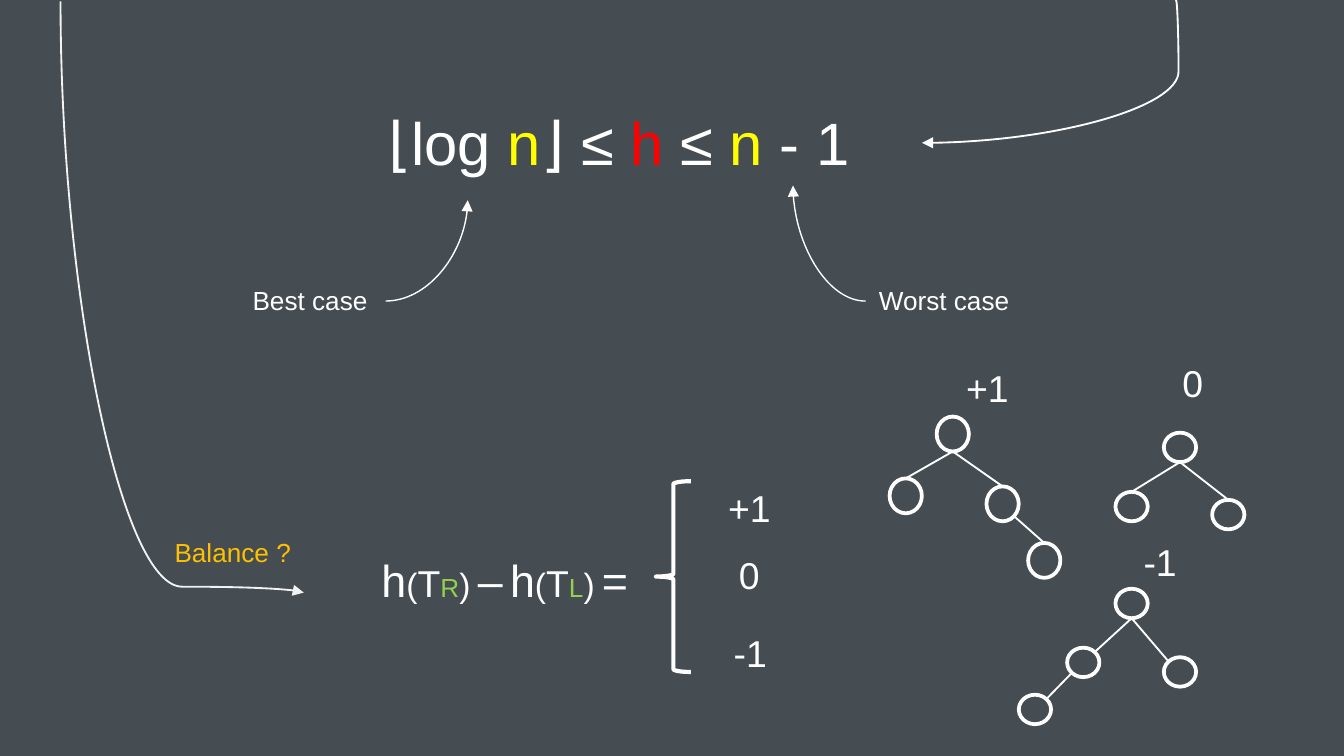
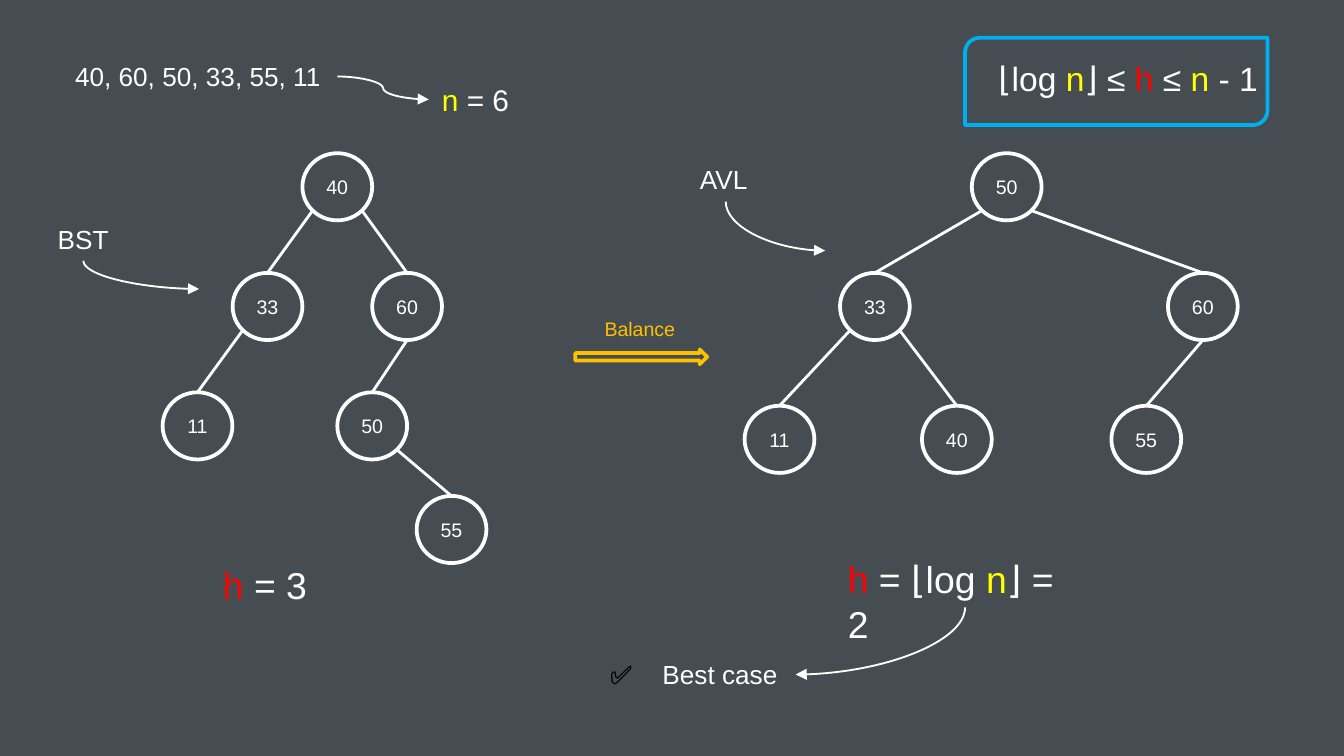
from lxml import etree
from pptx import Presentation
from pptx.dml.color import RGBColor
from pptx.enum.shapes import MSO_CONNECTOR as CONN, MSO_SHAPE as SHAPE
from pptx.enum.text import MSO_ANCHOR as ANCHOR, MSO_AUTO_SIZE as AUTO, PP_ALIGN as ALIGN
from pptx.oxml.ns import qn
from pptx.util import Pt

COLOURS = {
    "back": "454D52", "white": "FFFFFF", "pale": "F2F2F2", "red": "FF0000",
    "yellow": "FFFF00", "green": "92D050", "amber": "FFC000",
    "blue": "00B0F0", "black": "000000",
}
FONT = "Arial"

# Formula runs: (text, colour, size); colour and size may be left out
N, H = ("n", "yellow"), ("h", "red")
BOUNDS = ["⌊log ", N, "⌋ ≤ ", H, " ≤ ", N, " - 1"]


def height_of(side):
    return [("h", "white", 24), ("(", "white", 18), ("T", "white", 20),
            (side, "green", 14), (")", "white", 18)]


BALANCE = [*height_of("R"), " ", ("–", "white", 24), " ",
           *height_of("L"), " ", ("=", "white", 24)]

# Where an edge meets a node, as a fraction of its radii from the centre
DIAG = 0.707
SITES = {"t": (0, -1), "b": (0, 1), "tl": (-DIAG, -DIAG), "tr": (DIAG, -DIAG),
         "bl": (-DIAG, DIAG), "br": (DIAG, DIAG)}


def rgb(name):
    return RGBColor.from_string(COLOURS[name])


def new_slide(prs):
    s = prs.slides.add_slide(prs.slide_layouts[6])
    s.background.fill.solid()
    s.background.fill.fore_color.rgb = rgb("back")
    return s


def add_runs(p, runs, size, colour):
    for run in [runs] if isinstance(runs, str) else runs:
        parts = (run,) if isinstance(run, str) else run
        text, run_colour, run_size = (*parts, colour, size)[:3] if len(parts) != 2 else (*parts, size)
        r = p.add_run()
        r.text = text
        r.font.name = FONT
        r.font.size = Pt(run_size)
        r.font.color.rgb = rgb(run_colour)


def add_text(s, x, y, w, h, runs, size=14, colour="white", wrap=True, anchor=ANCHOR.TOP):
    tf = s.shapes.add_textbox(Pt(x), Pt(y), Pt(w), Pt(h)).text_frame
    tf.word_wrap = wrap
    tf.auto_size = AUTO.SHAPE_TO_FIT_TEXT
    tf.vertical_anchor = anchor
    add_runs(tf.paragraphs[0], runs, size, colour)


def add_outline(s, kind, x, y, w, h, colour="white", width=2):
    sp = s.shapes.add_shape(kind, Pt(x), Pt(y), Pt(w), Pt(h))
    sp.shadow.inherit = False
    sp.fill.background()
    sp.line.color.rgb = rgb(colour)
    sp.line.width = Pt(width)
    return sp


def add_line(s, x1, y1, x2, y2, width=1, colour="white", kind=CONN.STRAIGHT):
    line = s.shapes.add_connector(kind, Pt(x1), Pt(y1), Pt(x2), Pt(y2))
    line.line.color.rgb = rgb(colour)
    line.line.width = Pt(width)
    etree.SubElement(line._element.spPr, qn("a:effectLst"))
    return line


def add_curve(s, x1, y1, x2, y2, rot=0, flip=None, bend=None, width=1, colour="white"):
    """Curved arrow; with a bend it is an S curve, otherwise a single arc."""
    w, h = abs(x2 - x1), abs(y2 - y1)
    if rot in (90, 270):
        w, h = h, w
    left, top = (x1 + x2 - w) / 2, (y1 + y2 - h) / 2
    line = add_line(s, left, top, left + w, top + h, width, colour, CONN.CURVE)
    sp_pr = line._element.spPr
    xfrm = sp_pr.find(qn("a:xfrm"))
    xfrm.set("rot", str(rot * 60000))
    if flip:
        xfrm.set("flip" + flip, "1")
    geom = sp_pr.find(qn("a:prstGeom"))
    if bend is None:
        geom.set("prst", "curvedConnector2")
    else:
        guides = geom.find(qn("a:avLst"))
        if guides is None:
            guides = etree.SubElement(geom, qn("a:avLst"))
        etree.SubElement(guides, qn("a:gd"), name="adj1", fmla=f"val {round(bend * 100000)}")
    etree.SubElement(sp_pr.find(qn("a:ln")), qn("a:tailEnd"), type="triangle")


def add_tree(s, nodes, edges, w, h, width=1, labels=False):
    """nodes: key -> (left, top); edges: (parent, site, child, site)."""
    for key, (x, y) in nodes.items():
        sp = add_outline(s, SHAPE.OVAL, x, y, w, h)
        if labels:
            tf = sp.text_frame
            tf.margin_left = tf.margin_right = tf.margin_top = tf.margin_bottom = 0
            tf.vertical_anchor = ANCHOR.MIDDLE
            tf.paragraphs[0].alignment = ALIGN.CENTER
            add_runs(tf.paragraphs[0], key, 10.5, "white")

    def point(key, site):
        (x, y), (dx, dy) = nodes[key], SITES[site]
        return x + w / 2 * (1 + dx), y + h / 2 * (1 + dy)

    for parent, start, child, end in edges:
        add_line(s, *point(parent, start), *point(child, end), width)


def balance_slide(prs):
    s = new_slide(prs)

    # Height bounds with their two cases
    add_curve(s, 630, 0, 493.9, 76.5, rot=180, flip="V", bend=-0.01)
    add_text(s, 200.9, 53.3, 293, 46, BOUNDS, size=32)
    add_curve(s, 463.7, 161.3, 424.8, 99.4, rot=180, width=0.75)
    add_text(s, 463.7, 149, 90, 24.5, "Worst case")
    add_curve(s, 206.6, 161.3, 250.6, 107.3, flip="V", width=0.75)
    add_text(s, 128.2, 149, 78.5, 24.5, "Best case")

    # Balance factor
    add_curve(s, 32.4, 0.7, 162.7, 317.5, rot=270, flip="H", bend=0.99, colour="pale")
    add_text(s, 86.4, 283.7, 78.5, 24.5, "Balance ?", colour="amber")
    add_text(s, 197.3, 292.3, 148.3, 36, BALANCE)
    add_outline(s, SHAPE.LEFT_BRACE, 351.4, 257.8, 18.7, 102.2, width=2.25)

    # Factor values: in the brace, then above each tree
    for value, x, y, w in [("+1", 383, 256.3, 37.4), ("0", 388.8, 292.3, 25.9),
                           ("-1", 385.9, 334.1, 32.4), ("+1", 510.5, 192.2, 37.4),
                           ("0", 626.4, 189.4, 25.9), ("-1", 605.5, 285.1, 32.4)]:
        add_text(s, x, y, w, 31.7, value, size=20, wrap=False)

    # Sample trees
    fork = [("root", "b", "left", "t"), ("root", "b", "right", "t")]
    add_tree(s, {"root": (501.8, 223.2), "left": (476.6, 256.3),
                 "right": (528.5, 260.6), "leaf": (550.8, 290.9)},
             [*fork, ("right", "br", "leaf", "t")], 17.3, 18.7)
    add_tree(s, {"root": (623.5, 231.8), "left": (597.6, 263.5), "right": (649.4, 267.8)},
             fork, 17.3, 15.8)
    add_tree(s, {"root": (597.6, 315.4), "left": (571.7, 347),
                 "right": (623.5, 352.1), "leaf": (545.8, 372.2)},
             [("root", "b", "left", "tr"), ("root", "b", "right", "tl"),
              ("left", "bl", "leaf", "tr")], 17.3, 15.8)


def example_slide(prs):
    s = new_slide(prs)
    node = {"w": 37.4, "h": 36, "width": 1.5, "labels": True}
    root_y, child_y = 82.1, 146.2

    # Search tree
    add_tree(s, {"40": (162, root_y), "33": (124.6, child_y), "60": (199.4, child_y),
                 "11": (87.1, 210.2), "50": (180.7, 210.2), "55": (223.2, 265.7)},
             [("40", "bl", "33", "t"), ("33", "bl", "11", "t"), ("40", "br", "60", "t"),
              ("60", "b", "50", "t"), ("50", "br", "55", "t")], **node)
    add_curve(s, 44.6, 139.7, 106.6, 154.8, rot=270, flip="H")
    add_text(s, 23.8, 115.9, 41.8, 24.5, "BST", anchor=ANCHOR.MIDDLE)
    add_text(s, 112.3, 297.4, 61.2, 31.7, [H, " = 3"], size=20)

    # Balancing step
    add_outline(s, SHAPE.RIGHT_ARROW, 308.2, 187.2, 70.6, 7.9, "amber")
    add_text(s, 316.8, 166.3, 58.3, 20.2, "Balance", size=10.5, colour="amber")

    # Balanced tree
    add_tree(s, {"50": (520.6, root_y), "33": (450, child_y), "60": (625.7, child_y),
                 "11": (398.9, 217.4), "40": (493.9, 217.4), "55": (595.4, 217.4)},
             [("50", "bl", "33", "t"), ("33", "bl", "11", "t"), ("50", "br", "60", "t"),
              ("33", "br", "40", "t"), ("60", "b", "55", "t")], **node)
    add_curve(s, 388.8, 108, 442.1, 134.3, rot=270, flip="H")
    add_text(s, 367.9, 83.5, 41.8, 24.5, "AVL", anchor=ANCHOR.MIDDLE)
    add_text(s, 447.1, 294.5, 140.4, 31.7, [H, " = ⌊log ", N, "⌋ = 2"], size=20)
    add_curve(s, 517, 325.4, 426.2, 361.4, rot=90)
    add_text(s, 347.8, 349.2, 78.5, 24.5, "Best case")
    add_text(s, 319.7, 349.2, 33.8, 24.5, "✅", colour="black", wrap=False)

    # Keys and their count
    add_text(s, 33.1, 28.8, 147.6, 24.5, "40, 60, 50, 33, 55, 11", wrap=False)
    add_curve(s, 180.7, 41, 229.7, 53.3, bend=0.5)
    add_text(s, 229.7, 40.3, 61.2, 26.6, [N, " = 6"], size=16)

    # Framed height bounds
    add_text(s, 527.8, 27.4, 159.1, 28.8, BOUNDS, size=18)
    add_outline(s, SHAPE.ROUND_2_DIAG_RECTANGLE, 517, 20.2, 162, 46.8, "blue")


def main():
    prs = Presentation()
    prs.slide_width, prs.slide_height = Pt(720), Pt(405)
    balance_slide(prs)
    example_slide(prs)
    prs.save("out.pptx")


if __name__ == "__main__":
    main()
